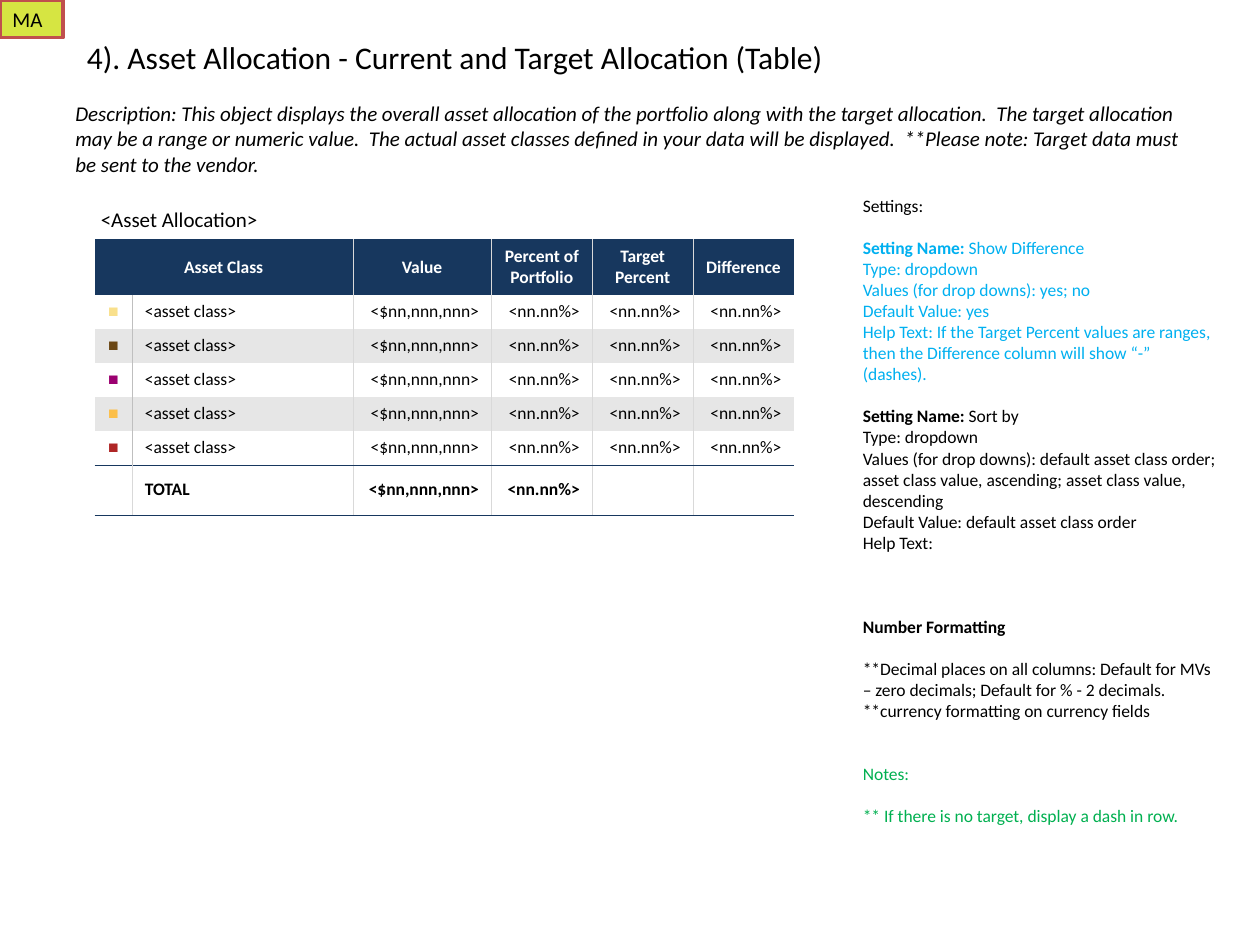
from lxml.etree import SubElement
from pptx import Presentation
from pptx.dml.color import RGBColor
from pptx.enum.shapes import MSO_SHAPE
from pptx.enum.text import MSO_ANCHOR, MSO_AUTO_SIZE, PP_ALIGN
from pptx.oxml.ns import qn
from pptx.util import Inches, Pt

BLACK, WHITE, NAVY = "000000", "FFFFFF", "17375E"
STRIPE, DIVIDER, MARKER_DIVIDER = "E6E6E6", "D9D9D9", "BFBFBF"
BLUE, GREEN = "00B0F0", "00B050"
LINE_GAP = 12  # one line of the settings text, in points

COLUMN_WIDTHS = [0.3, 1.75, 1.1, 0.8, 0.8, 0.8]
ROW_HEIGHTS = [0.3, 0.44] + [0.27] * 6
HEADINGS = ["Asset Class", "", "Value", "Percent of Portfolio", "Target Percent", "Difference"]
MARKER_COLORS = ["F9E08C", "6B4714", "9B0070", "FCBF49", "AF2626"]
AMOUNT, PERCENT = "<$nn,nnn,nnn>", "<nn.nn%>"

DESCRIPTION = (
    "Description: This object displays the overall asset allocation of the portfolio along "
    "with the target allocation.  The target allocation may be a range or numeric value.  "
    "The actual asset classes defined in your data will be displayed.  "
    "**Please note: Target data must be sent to the vendor."
)

# Each line: bold part, plain part, colour, lines of space above
SETTINGS = [
    ("", "Settings:", BLACK, 0),
    ("Setting Name:", " Show Difference", BLUE, 1),
    ("", "Type: dropdown", BLUE, 0),
    ("", "Values (for drop downs): yes; no", BLUE, 0),
    ("", "Default Value: yes", BLUE, 0),
    ("", "Help Text: If the Target Percent values are ranges, then the Difference column "
         "will show “-” (dashes).", BLUE, 0),
    ("Setting Name:", " Sort by", BLACK, 1),
    ("", "Type: dropdown", BLACK, 0),
    ("", "Values (for drop downs): default asset class order; asset class value, ascending; "
         "asset class value, descending", BLACK, 0),
    ("", "Default Value: default asset class order", BLACK, 0),
    ("", "Help Text:", BLACK, 0),
    ("Number Formatting", "", BLACK, 3),
    ("", "**Decimal places on all columns: Default for MVs – zero decimals; "
         "Default for % - 2 decimals.", BLACK, 1),
    ("", "**currency formatting on currency fields", BLACK, 0),
    ("", "Notes:", GREEN, 2),
    ("", "** If there is no target, display a dash in row.", GREEN, 1),
]


def rgb(color):
    return RGBColor.from_string(color)


def format_font(font, size, color=BLACK, bold=False, italic=False, name="Calibri"):
    font.name, font.size, font.bold, font.italic = name, Pt(size), bold, italic
    font.color.rgb = rgb(color)


def set_line(frame, text, size, italic=False):
    """Write one left-aligned paragraph."""
    frame.text = text
    paragraph = frame.paragraphs[0]
    paragraph.alignment = PP_ALIGN.LEFT
    format_font(paragraph.runs[0].font, size, italic=italic)


def add_title(slide, left, top, width, height):
    title = slide.shapes.title
    title.left, title.top, title.width, title.height = map(Inches, (left, top, width, height))
    frame = title.text_frame
    set_line(frame, "4). Asset Allocation - Current and Target Allocation (Table)", 18)
    frame.vertical_anchor = MSO_ANCHOR.TOP
    frame.word_wrap = False
    frame.auto_size = MSO_AUTO_SIZE.SHAPE_TO_FIT_TEXT


def add_text_area(slide, left, top, width, height):
    frame = slide.shapes.add_textbox(*map(Inches, (left, top, width, height))).text_frame
    frame.word_wrap = True
    frame.auto_size = MSO_AUTO_SIZE.SHAPE_TO_FIT_TEXT
    return frame


def add_description(slide, *box):
    frame = add_text_area(slide, *box)
    frame.vertical_anchor = MSO_ANCHOR.MIDDLE
    set_line(frame, DESCRIPTION, 12, italic=True)


def add_settings(slide, *box):
    frame = add_text_area(slide, *box)
    for index, (label, detail, color, gap) in enumerate(SETTINGS):
        paragraph = frame.add_paragraph() if index else frame.paragraphs[0]
        if gap:
            paragraph.space_before = Pt(gap * LINE_GAP)
        for part, bold in ((label, True), (detail, False)):
            if part:
                run = paragraph.add_run()
                run.text = part
                format_font(run.font, 10, color, bold)


def set_borders(cell, borders):
    """Draw the given sides (L, R, T, B) and clear the others; call before filling."""
    properties = cell._tc.get_or_add_tcPr()
    for side in "LRTB":
        border = SubElement(properties, qn(f"a:ln{side}"), w=str(Pt(0.23)))
        if side in borders:
            fill = SubElement(border, qn("a:solidFill"))
            SubElement(fill, qn("a:srgbClr"), val=borders[side])
        else:
            SubElement(border, qn("a:noFill"))


def cell_borders(row, column):
    last_body, total = len(ROW_HEIGHTS) - 2, len(ROW_HEIGHTS) - 1
    borders = {}
    if row == 0:
        return borders
    marker_line = MARKER_DIVIDER if row < total else DIVIDER
    if column > 0 and (row, column) != (1, 1):
        borders["L"] = marker_line if column == 1 else DIVIDER
    if column < len(COLUMN_WIDTHS) - 1 and (row, column) != (1, 0):
        borders["R"] = marker_line if column == 0 else DIVIDER
    if row == total:
        borders["T"] = NAVY
    if row >= last_body:
        borders["B"] = NAVY
    return borders


def add_allocation_table(slide, left, top, width, height):
    rows = [["<Asset Allocation>"] + [""] * 5, HEADINGS]
    rows += [["■", "<asset class>", AMOUNT] + [PERCENT] * 3 for _ in MARKER_COLORS]
    rows.append(["", "TOTAL", AMOUNT, PERCENT, "", ""])
    total = len(rows) - 1
    table = slide.shapes.add_table(
        len(rows), len(COLUMN_WIDTHS), *map(Inches, (left, top, width, height))).table
    table.first_row = table.horz_banding = False
    for column, column_width in zip(table.columns, COLUMN_WIDTHS):
        column.width = Inches(column_width)

    for r, texts in enumerate(rows):
        table.rows[r].height = Inches(ROW_HEIGHTS[r])
        for c, text in enumerate(texts):
            cell = table.cell(r, c)
            set_borders(cell, cell_borders(r, c))
            if r == 0:
                cell.fill.background()
            else:
                cell.fill.solid()
                striped = r < total and r % 2
                cell.fill.fore_color.rgb = rgb(NAVY if r == 1 else STRIPE if striped else WHITE)
            cell.vertical_anchor = MSO_ANCHOR.MIDDLE
            if not text:
                continue
            cell.text = text
            paragraph = cell.text_frame.paragraphs[0]
            font = paragraph.runs[0].font
            if r == 0:  # caption
                cell.vertical_anchor = MSO_ANCHOR.BOTTOM
                cell.margin_left = Inches(0.05)
                format_font(font, 12)
            elif r == 1:  # column headings
                paragraph.alignment = PP_ALIGN.CENTER
                format_font(font, 10, WHITE, bold=True)
            elif c == 0:  # colour markers
                paragraph.alignment = PP_ALIGN.CENTER
                format_font(font, 10, MARKER_COLORS[r - 2], name="Arial")
            else:
                paragraph.alignment = PP_ALIGN.LEFT if c == 1 else PP_ALIGN.RIGHT
                format_font(font, 10, bold=r == total)

    table.cell(0, 0).merge(table.cell(0, 4))
    table.cell(1, 0).merge(table.cell(1, 1))


def add_tag(slide, left, top, width, height):
    tag = slide.shapes.add_shape(MSO_SHAPE.RECTANGLE, *map(Inches, (left, top, width, height)))
    tag.shadow.inherit = False
    tag.fill.solid()
    tag.fill.fore_color.rgb = rgb("D6E542")
    tag.line.color.rgb = rgb("C0504D")
    tag.line.width = Pt(2)
    tag.text_frame.vertical_anchor = MSO_ANCHOR.TOP
    set_line(tag.text_frame, "MA", 12)


def main():
    presentation = Presentation()
    presentation.slide_width, presentation.slide_height = Inches(10), Inches(7.5)
    slide = presentation.slides.add_slide(presentation.slide_layouts[5])
    add_title(slide, 0.59, 0.25, 6.1, 0.4)
    add_allocation_table(slide, 0.75, 1.5, sum(COLUMN_WIDTHS), sum(ROW_HEIGHTS))
    add_description(slide, 0.5, 0.75, 9, 0.7)
    add_settings(slide, 6.75, 1.5, 3, 5.78)
    add_tag(slide, 0, 0, 0.5, 0.3)
    presentation.save("out.pptx")


if __name__ == "__main__":
    main()
